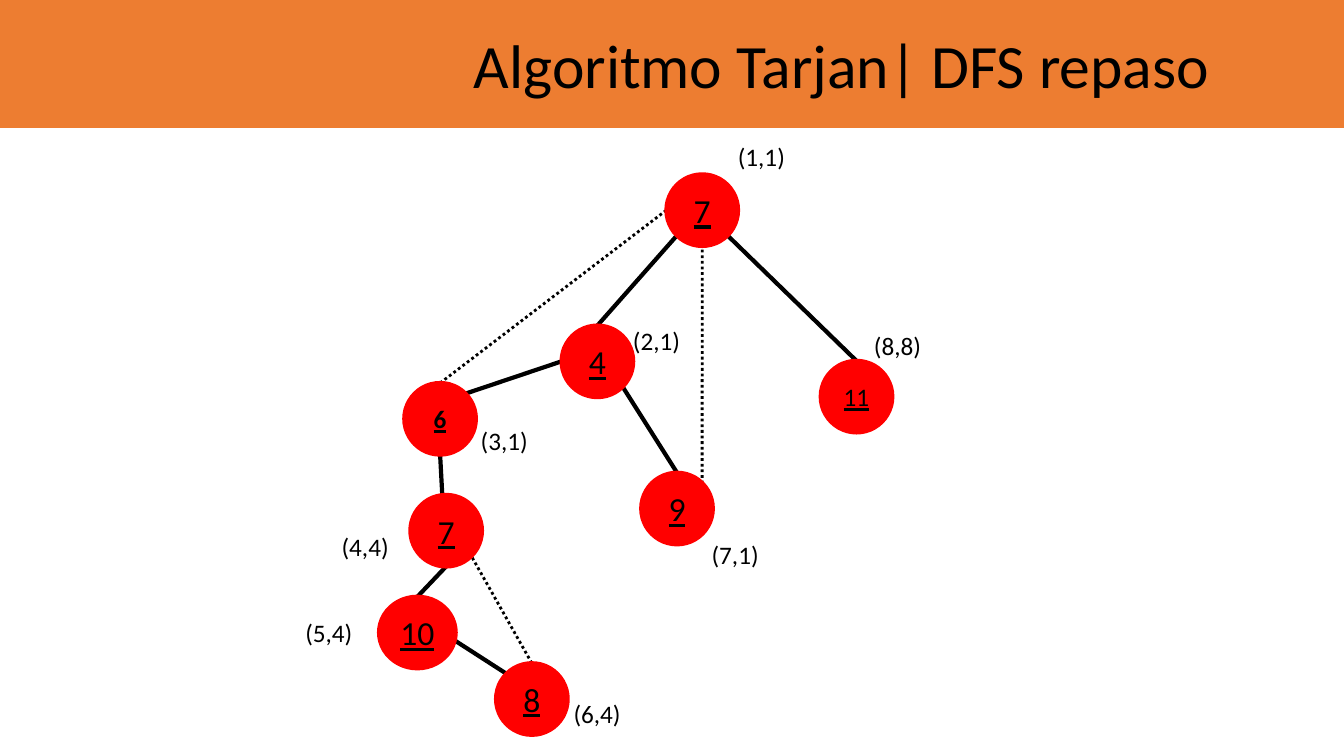
from pptx import Presentation, util as u
from pptx.dml.color import RGBColor
from pptx.enum import dml, shapes, text
from pptx.oxml.ns import qn
from lxml import etree

WIDTH, HEIGHT = 13.33, 7.5
DIAMETER = 0.71
COLORS = {"band": "ED7D31", "node": "FF0000", "ink": "000000"}
FONT = "Calibri"

# Node: left, top, label, pair and pair position; unlisted settings use defaults
NODES = {
    "root": (6.61, 1.73, "7", "(1,1)", (7.22, 1.35), {}),
    "four": (5.57, 3.23, "4", "(2,1)", (6.18, 3.18), {}),
    "six": (4.01, 3.8, "6", "(3,1)", (4.67, 4.17), {"size": 18, "bold": True}),
    "seven": (4.07, 4.91, "7", "(4,4)", (3.29, 5.22), {}),
    "ten": (3.76, 5.92, "10", "(5,4)", (2.93, 6.08), {}),
    "eight": (4.92, 6.58, "8", "(6,4)", (5.59, 6.88), {}),
    "nine": (6.36, 4.69, "9", "(7,1)", (6.96, 5.3), {}),
    "eleven": (8.14, 3.58, "11", "(8,8)", (8.57, 3.23), {"size": 18}),
}
NODE_WIDTHS = {"ten": 0.76}

# Points on a circle's rim, as shares of its box
NEAR, FAR = 0.15, 0.85
RIM = {
    "top": (0.5, 0), "bottom": (0.5, 1), "left": (0, 0.5),
    "top left": (NEAR, NEAR), "top right": (FAR, NEAR),
    "bottom left": (NEAR, FAR), "bottom right": (FAR, FAR),
    "lower right": (1, 0.62),
}
TREE_EDGES = [
    ("root", "bottom left", "four", "top"),
    ("root", "bottom right", "eleven", "top"),
    ("four", "left", "six", "top right"),
    ("four", "bottom right", "nine", "top"),
    ("six", "bottom", "seven", "bottom"),
    ("seven", "bottom", "ten", "top"),
    ("ten", "lower right", "eight", "top left"),
]
BACK_EDGES = [
    ("six", "top", "root", "left"),
    ("nine", "top right", "root", "bottom"),
    ("eight", "top", "seven", "bottom right"),
]


def color(name):
    return RGBColor.from_string(COLORS[name])


def inches(*lengths):
    return [u.Inches(length) for length in lengths]


def write(shape, words, size=18, bold=False, underline=False,
          align=text.PP_ALIGN.LEFT, anchor=text.MSO_ANCHOR.TOP, wrap=True):
    frame = shape.text_frame
    frame.word_wrap = wrap
    frame.auto_size = text.MSO_AUTO_SIZE.NONE
    frame.vertical_anchor = anchor
    paragraph = frame.paragraphs[0]
    paragraph.alignment = align
    run = paragraph.add_run()
    run.text = words
    run.font.name = FONT
    run.font.size = u.Pt(size)
    run.font.bold = bold
    run.font.underline = underline
    run.font.color.rgb = color("ink")


def add_filled(slide, kind, box, fill):
    shape = slide.shapes.add_shape(kind, *inches(*box))
    shape.shadow.inherit = False
    shape.fill.solid()
    shape.fill.fore_color.rgb = color(fill)
    shape.line.fill.background()
    return shape


def add_header(slide, box):
    left, top, width, height = box
    band = add_filled(slide, shapes.MSO_SHAPE.RECTANGLE, box, "band")
    title = slide.shapes.title
    title.left, title.top, title.width, title.height = inches(
        left + 4.6, top + 0.22, 7.58, 0.84)
    write(title, "Algoritmo Tarjan| DFS repaso", size=44)
    # Keep the band behind the title
    title._element.addprevious(band._element)


def rim_point(node, site):
    left, top = NODES[node][:2]
    across, down = RIM[site]
    return left + across * NODE_WIDTHS.get(node, DIAMETER), top + down * DIAMETER


def add_edge(slide, start, start_site, end, end_site, weight, dash=None):
    points = rim_point(start, start_site) + rim_point(end, end_site)
    edge = slide.shapes.add_connector(
        shapes.MSO_CONNECTOR.STRAIGHT, *inches(*points))
    edge.line.color.rgb = color("ink")
    edge.line.width = u.Pt(weight)
    if dash:
        edge.line.dash_style = dash
    etree.SubElement(edge._element.spPr, qn("a:effectLst"))


def add_node(slide, name):
    left, top, label, pair, pair_at, style = NODES[name]
    box = (left, top, NODE_WIDTHS.get(name, DIAMETER), DIAMETER)
    circle = add_filled(slide, shapes.MSO_SHAPE.OVAL, box, "node")
    circle.line.color.rgb = color("node")
    circle.line.width = u.Pt(3)
    write(circle, label, **{"size": 24, "underline": True, "wrap": False,
                            "align": text.PP_ALIGN.CENTER,
                            "anchor": text.MSO_ANCHOR.MIDDLE, **style})
    write(slide.shapes.add_textbox(*inches(*pair_at, 0.96, 0.4)), pair)


def add_tree(slide):
    # Edges lie under the nodes
    for edge in TREE_EDGES:
        add_edge(slide, *edge, weight=3)
    for edge in BACK_EDGES:
        add_edge(slide, *edge, weight=2, dash=dml.MSO_LINE.ROUND_DOT)
    for name in NODES:
        add_node(slide, name)


def main():
    presentation = Presentation()
    presentation.slide_width, presentation.slide_height = inches(WIDTH, HEIGHT)
    slide = presentation.slides.add_slide(presentation.slide_layouts[5])
    add_header(slide, (0, 0, WIDTH, 1.27))
    add_tree(slide)
    presentation.save("out.pptx")


if __name__ == "__main__":
    main()
